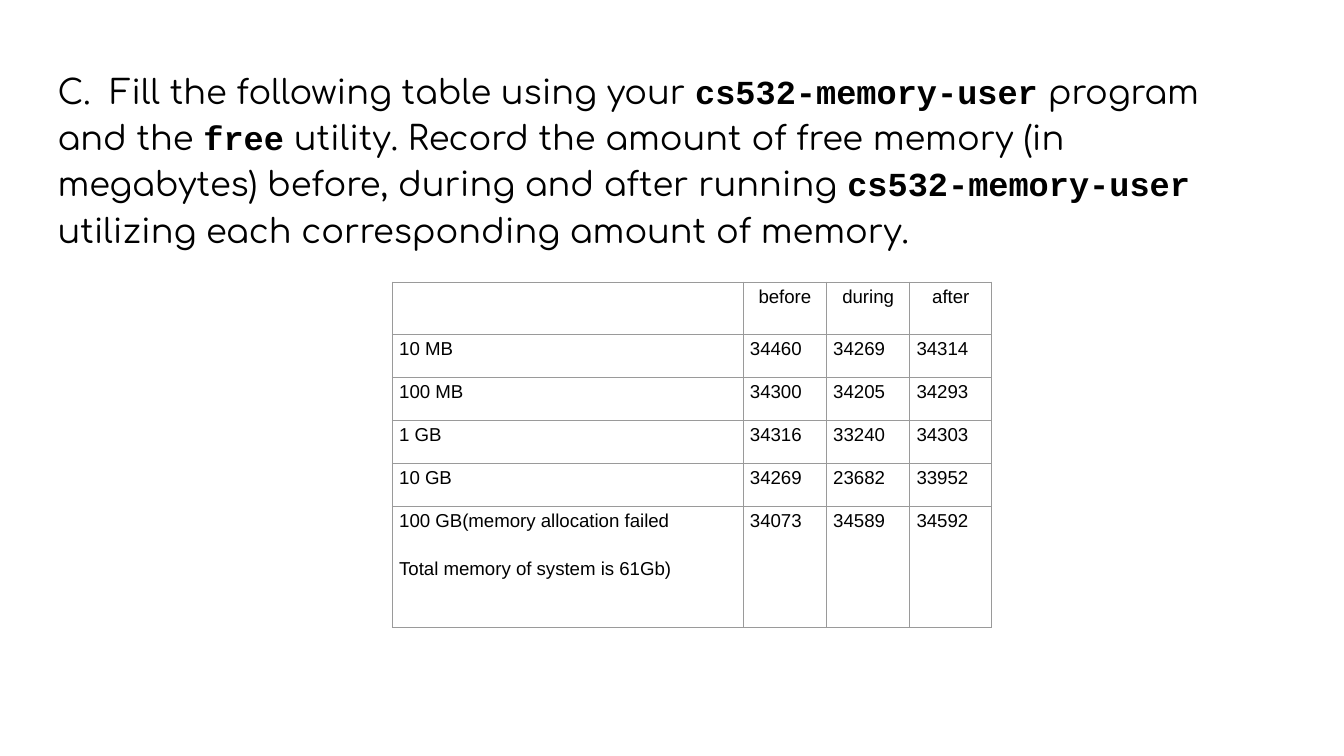
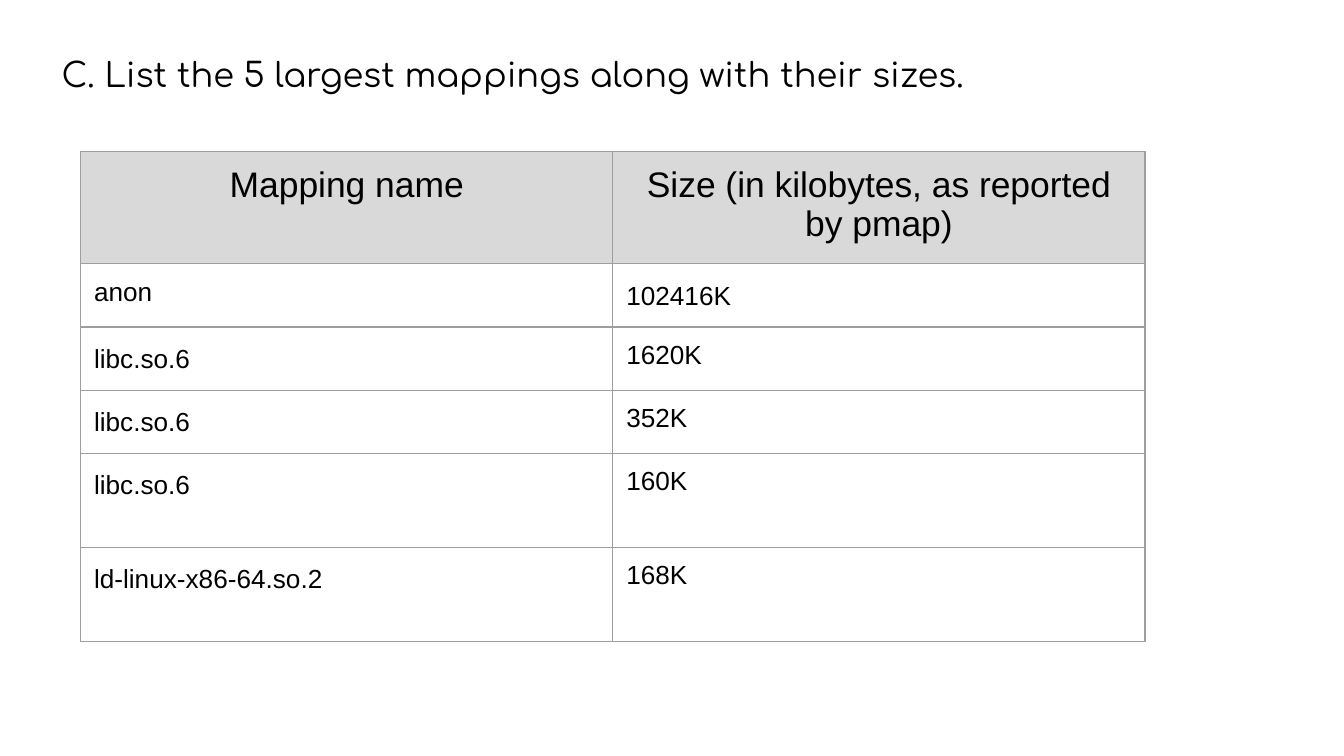
from dataclasses import dataclass
from typing import Optional

from lxml import etree
from pptx import Presentation
from pptx.dml.color import RGBColor
from pptx.enum.text import MSO_AUTO_SIZE, PP_ALIGN
from pptx.oxml.ns import qn
from pptx.util import Inches, Pt

CENTER, LEFT = PP_ALIGN.CENTER, PP_ALIGN.LEFT
GROW = MSO_AUTO_SIZE.SHAPE_TO_FIT_TEXT

BLACK = RGBColor(0x00, 0x00, 0x00)
WHITE = RGBColor(0xFF, 0xFF, 0xFF)
HEADER_GRAY = RGBColor(0xD9, 0xD9, 0xD9)
MEMORY_BORDER = RGBColor(0x9A, 0x9A, 0x9A)
MAPPING_BORDER = RGBColor(0x9E, 0x9E, 0x9E)

TITLE_FONT, CODE_FONT, TABLE_FONT = "Comfortaa", "Courier New", "Arial"
LOOSE = 1.15


@dataclass(frozen=True)
class Span:
    text: str
    code: bool = False


@dataclass(frozen=True)
class Entry:
    """The content and format of one table cell."""
    lines: tuple[str, ...]
    size: float
    align: PP_ALIGN = LEFT
    spacing: float = 1.0
    fill: Optional[RGBColor] = None


@dataclass(frozen=True)
class Grid:
    """The place, measures and look of one table, in inches."""
    left: float
    top: float
    columns: tuple[float, ...]
    rows: tuple[float, ...]
    margins: tuple[float, float]
    border: RGBColor
    line_gap: float = 0


def add_span(para, text: str, *, font: str, size: float, bold: bool = False) -> None:
    span = para.add_run()
    span.text = text
    span.font.name = font
    span.font.size = Pt(size)
    span.font.bold = bold
    span.font.color.rgb = BLACK


def add_page(deck):
    page = deck.slides.add_slide(deck.slide_layouts[6])
    page.background.fill.solid()
    page.background.fill.fore_color.rgb = WHITE
    return page


def add_title(page, spans: list[Span], left: float, top: float, height: float) -> None:
    box = page.shapes.add_textbox(Inches(left), Inches(top), Inches(9.12), Inches(height))
    frame = box.text_frame
    frame.word_wrap = True
    frame.auto_size = GROW
    frame.margin_left = frame.margin_right = Inches(0.1)
    frame.margin_top = frame.margin_bottom = Inches(0.1)
    para = frame.paragraphs[0]
    para.line_spacing = LOOSE
    for span in spans:
        add_span(para, span.text, font=CODE_FONT if span.code else TITLE_FONT,
                 size=18, bold=span.code)


def draw_borders(cell, color: RGBColor) -> None:
    properties = cell._tc.get_or_add_tcPr()
    for side in ("a:lnL", "a:lnR", "a:lnT", "a:lnB"):
        line = etree.SubElement(properties, qn(side), w=str(Pt(0.75)))
        fill = etree.SubElement(line, qn("a:solidFill"))
        etree.SubElement(fill, qn("a:srgbClr"), val=str(color))


def fill_cell(cell, entry: Entry, grid: Grid) -> None:
    side, edge = grid.margins
    cell.margin_left = cell.margin_right = Inches(side)
    cell.margin_top = cell.margin_bottom = Inches(edge)
    # Borders come before the fill in the cell properties
    draw_borders(cell, grid.border)
    if entry.fill is None:
        cell.fill.background()
    else:
        cell.fill.solid()
        cell.fill.fore_color.rgb = entry.fill
    frame = cell.text_frame
    for index, text in enumerate(entry.lines):
        para = frame.add_paragraph() if index else frame.paragraphs[0]
        para.alignment = entry.align
        para.line_spacing = entry.spacing
        if index:
            para.space_before = Pt(grid.line_gap)
        add_span(para, text, font=TABLE_FONT, size=entry.size)


def add_grid(page, grid: Grid, entries: list[list[Entry]]) -> None:
    frame = page.shapes.add_table(
        len(grid.rows), len(grid.columns), Inches(grid.left), Inches(grid.top),
        Inches(sum(grid.columns)), Inches(sum(grid.rows)))
    table = frame.table
    table.first_row = table.horz_banding = False
    for column, width in zip(table.columns, grid.columns):
        column.width = Inches(width)
    for row, height, row_entries in zip(table.rows, grid.rows, entries):
        row.height = Inches(height)
        for cell, entry in zip(row.cells, row_entries):
            fill_cell(cell, entry, grid)


# Free memory before, during and after each run
MEMORY_TITLE = [
    Span("C.  Fill the following table using your "),
    Span("cs532-memory-user", code=True),
    Span(" program and the "),
    Span("free", code=True),
    Span(" utility. Record the amount of free memory (in megabytes) "
         "before, during and after running "),
    Span("cs532-memory-user", code=True),
    Span(" utilizing each corresponding amount of memory."),
]
MEMORY_HEADER = ("before", "during", "after")
MEMORY_ROWS = [
    (("10 MB",), "34460", "34269", "34314"),
    (("100 MB",), "34300", "34205", "34293"),
    (("1 GB",), "34316", "33240", "34303"),
    (("10 GB",), "34269", "23682", "33952"),
    (("100 GB(memory allocation failed", "Total memory of system is 61Gb)"),
     "34073", "34589", "34592"),
]
MEMORY_GRID = Grid(2.92, 2.1, (2.61, 0.62, 0.62, 0.61), (0.39, *[0.32] * 4, 0.9),
                   (0.05, 0.01), MEMORY_BORDER, line_gap=13)

# Largest mappings and their sizes
MAPPING_TITLE = [Span("C. List the 5 largest mappings along with their sizes.")]
MAPPING_HEADER = ("Mapping name", "Size (in kilobytes, as reported by pmap)")
MAPPING_ROWS = [
    ("anon", "102416K"),
    ("libc.so.6", "1620K"),
    ("libc.so.6", "352K"),
    ("libc.so.6", "160K"),
    ("ld-linux-x86-64.so.2", "168K"),
]
MAPPING_GRID = Grid(0.6, 1.13, (3.96, 3.96), (0.83, *[0.47] * 3, 0.7, 0.7),
                    (0.1, 0.1), MAPPING_BORDER)


def build_memory_page(deck) -> None:
    page = add_page(deck)
    add_title(page, MEMORY_TITLE, 0.33, 0.38, 1.55)
    entries = [[Entry((), 10)] + [Entry((text,), 10, CENTER, LOOSE) for text in MEMORY_HEADER]]
    for label, *values in MEMORY_ROWS:
        entries.append([Entry(lines, 10, spacing=LOOSE)
                        for lines in (label, *((value,) for value in values))])
    add_grid(page, MEMORY_GRID, entries)


def build_mapping_page(deck) -> None:
    page = add_page(deck)
    add_title(page, MAPPING_TITLE, 0.36, 0.26, 0.5)
    entries = [[Entry((text,), 19, CENTER, fill=HEADER_GRAY) for text in MAPPING_HEADER]]
    for index, (name, size) in enumerate(MAPPING_ROWS):
        # The loose spacing is on the size in the first row, on the name below
        name_spacing, size_spacing = (LOOSE, 1.0) if index else (1.0, LOOSE)
        entries.append([Entry((name,), 14, spacing=name_spacing),
                        Entry((size,), 14, spacing=size_spacing)])
    add_grid(page, MAPPING_GRID, entries)


def main() -> None:
    deck = Presentation()
    # Widescreen, 16 to 9
    deck.slide_width = Inches(10)
    deck.slide_height = deck.slide_width * 9 // 16
    build_memory_page(deck)
    build_mapping_page(deck)
    deck.save("out.pptx")


if __name__ == "__main__":
    main()
